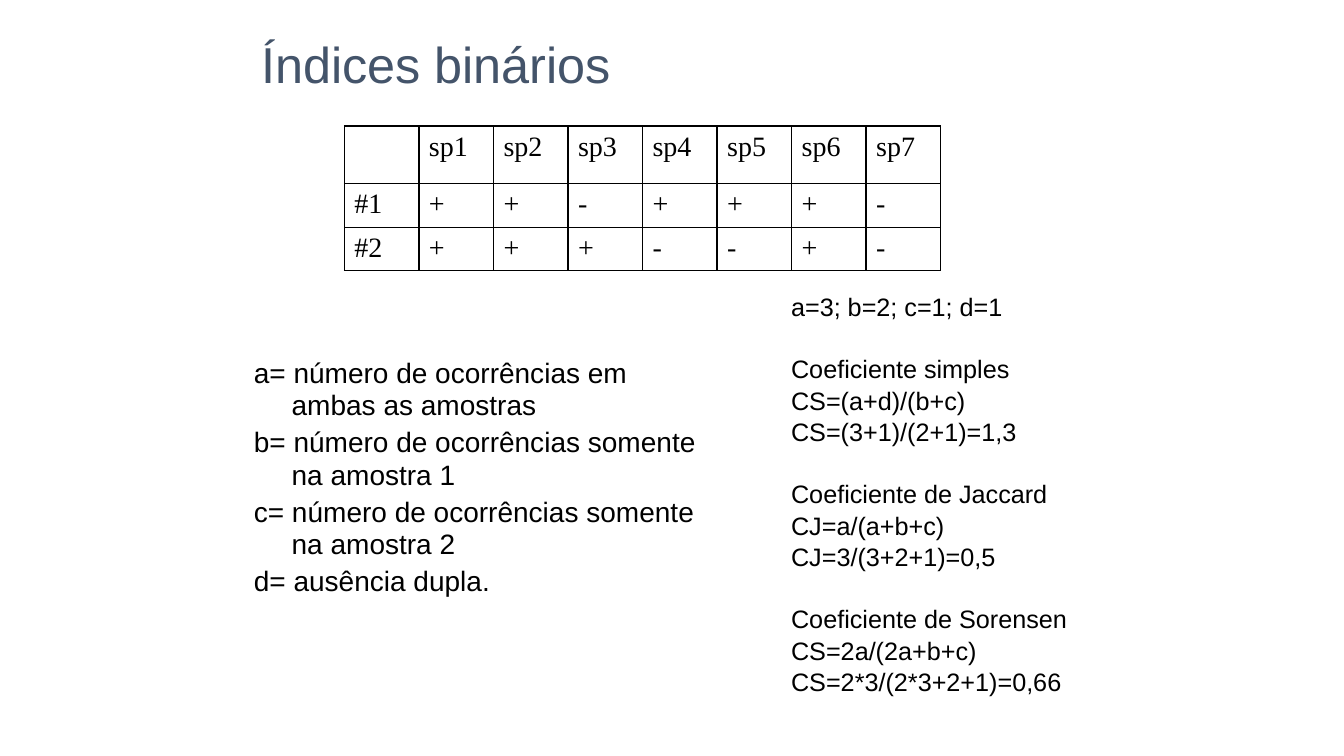
from lxml.etree import SubElement
from pptx import Presentation
from pptx.dml.color import RGBColor
from pptx.enum.text import MSO_ANCHOR
from pptx.oxml.ns import qn
from pptx.util import Pt


def tint(code):
    return RGBColor.from_string(code)


class Page:
    sans = "Arial"
    serif = "Times New Roman"
    ink = "000000"
    head = "44546A"

    def __init__(self, deck):
        self.slide = deck.slides.add_slide(deck.slide_layouts[6])

    def run(self, para, text, size, face, color):
        run = para.add_run()
        run.text = text
        run.font.size = Pt(size)
        run.font.name = face
        run.font.color.rgb = tint(color)

    def text(self, box, groups, size, color=ink, lead=1.0, gap=0,
             hang=0, anchor=MSO_ANCHOR.TOP):
        frame = self.slide.shapes.add_textbox(*map(Pt, box)).text_frame
        frame.word_wrap = True
        frame.vertical_anchor = anchor
        para = None
        for group in groups:
            for index, line in enumerate(group):
                first = para is None
                para = frame.paragraphs[0] if first else frame.add_paragraph()
                para.line_spacing = lead
                para.space_before = Pt(gap if index == 0 and not first else 0)
                if hang:
                    props = para._p.get_or_add_pPr()
                    props.set("marL", str(Pt(hang)))
                    props.set("indent", str(-Pt(hang)))
                self.run(para, line, size, self.sans, color)

    def edge(self, cell):
        props = cell._tc.get_or_add_tcPr()
        for side in ("a:lnL", "a:lnR", "a:lnT", "a:lnB"):
            line = SubElement(props, qn(side), w=str(Pt(1)))
            fill = SubElement(line, qn("a:solidFill"))
            SubElement(fill, qn("a:srgbClr"), val=self.ink)

    def table(self, left, top, wide, highs, rows, size):
        count = len(rows[0])
        box = (left, top, wide * count, sum(highs))
        table = self.slide.shapes.add_table(
            len(rows), count, *map(Pt, box)).table
        table.first_row = False
        table.horz_banding = False
        for col in table.columns:
            col.width = Pt(wide)
        for row, high, words in zip(table.rows, highs, rows):
            row.height = Pt(high)
            for cell, word in zip(row.cells, words):
                self.edge(cell)
                cell.fill.background()
                if word:
                    self.run(cell.text_frame.paragraphs[0], word, size,
                             self.serif, self.ink)


def main():
    deck = Presentation()
    deck.slide_width, deck.slide_height = Pt(960), Pt(540)
    page = Page(deck)

    terms = [
        ["a= número de ocorrências em ambas as amostras"],
        ["b= número de ocorrências somente na amostra 1"],
        ["c= número de ocorrências somente na amostra 2"],
        ["d= ausência dupla."],
    ]
    page.text((174.24, 252, 340.5, 186), terms, 20,
              lead=0.96, gap=3.5, hang=27)

    sums = [
        ["a=3; b=2; c=1; d=1"],
        ["Coeficiente simples", "CS=(a+d)/(b+c)", "CS=(3+1)/(2+1)=1,3"],
        ["Coeficiente de Jaccard", "CJ=a/(a+b+c)", "CJ=3/(3+2+1)=0,5"],
        ["Coeficiente de Sorensen", "CS=2a/(2a+b+c)",
         "CS=2*3/(2*3+2+1)=0,66"],
    ]
    page.text((558, 203.75, 224, 318), sums, 18,
              lead=1.04, gap=22, hang=27)

    page.text((179.5, 0, 612, 90), [["Índices binários"]], 36,
              color=page.head, anchor=MSO_ANCHOR.MIDDLE)

    rows = [
        [""] + [f"sp{num}" for num in range(1, 8)],
        ["#1", *"++-+++-"],
        ["#2", *"+++--+-"],
    ]
    page.table(246, 90, 53.25, (41, 31, 31), rows, 20)

    deck.save("out.pptx")


if __name__ == "__main__":
    main()
